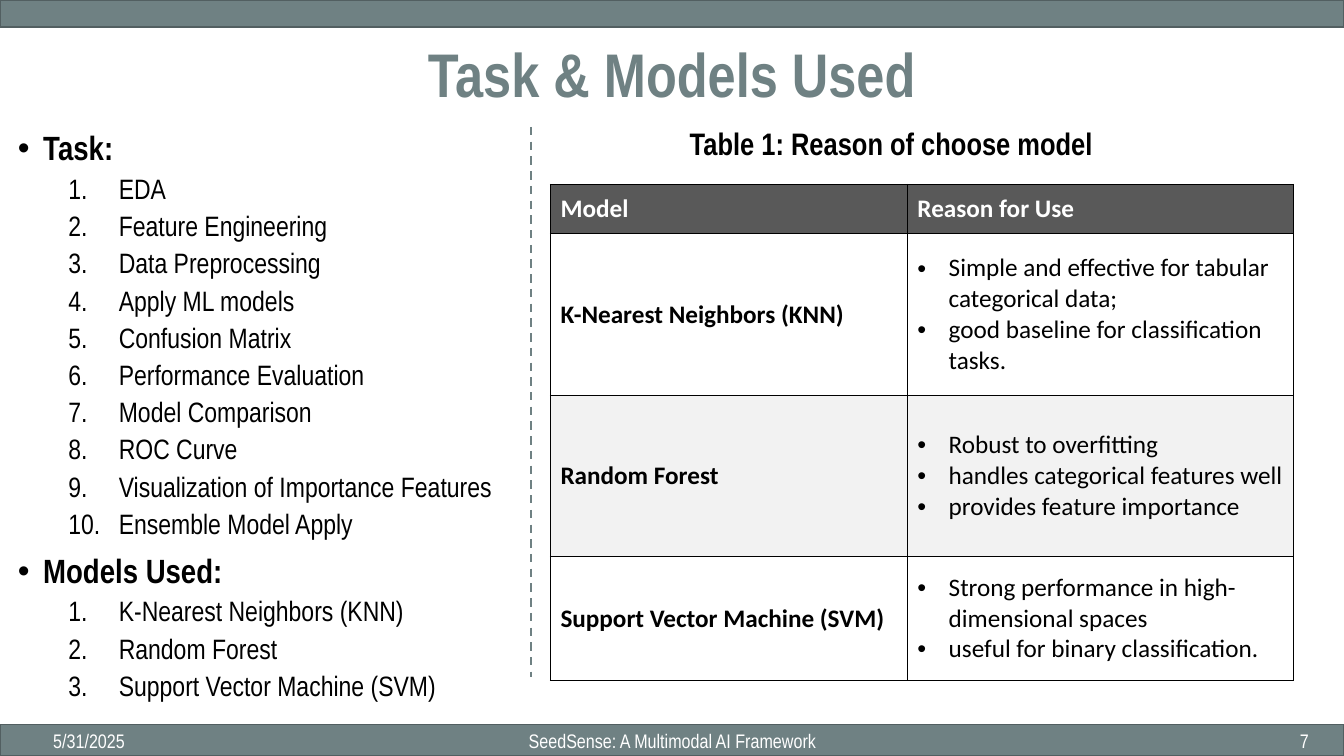
from dataclasses import dataclass
from typing import Optional

from lxml import etree
from pptx import Presentation
from pptx.dml.color import RGBColor
from pptx.enum.dml import MSO_LINE
from pptx.enum.shapes import MSO_CONNECTOR, MSO_SHAPE
from pptx.enum.text import MSO_ANCHOR, MSO_AUTO_SIZE, PP_ALIGN
from pptx.oxml.ns import qn
from pptx.util import Inches, Pt

LEFT, CENTER, RIGHT, JUSTIFY = PP_ALIGN.LEFT, PP_ALIGN.CENTER, PP_ALIGN.RIGHT, PP_ALIGN.JUSTIFY
TOP, MIDDLE = MSO_ANCHOR.TOP, MSO_ANCHOR.MIDDLE
NO_FIT = MSO_AUTO_SIZE.NONE
RECT, STRAIGHT, DASH = MSO_SHAPE.RECTANGLE, MSO_CONNECTOR.STRAIGHT, MSO_LINE.DASH


@dataclass(frozen=True)
class Theme:
    slate: str = "6F8183"
    slate_dark: str = "525F61"
    black: str = "000000"
    white: str = "FFFFFF"
    header: str = "595959"
    band: str = "F2F2F2"
    narrow: str = "Arial Narrow"
    cell_font: str = "Calibri"
    title: float = 44
    heading: float = 24
    caption: float = 22.2
    item: float = 20
    cell: float = 18
    footer: float = 14


@dataclass(frozen=True)
class Section:
    heading: str
    items: tuple[str, ...]


@dataclass(frozen=True)
class Label:
    text: str
    left: float
    width: float
    align: PP_ALIGN


@dataclass(frozen=True)
class ModelRow:
    model: str
    reasons: tuple[str, ...]
    height: float


T = Theme()
WIDTH, HEIGHT = 13.33, 7.5
BARS = ((0, 0.27), (7.19, 0.31))  # top, height
FOOTERS = (
    Label("5/31/2025", 0.43, 3, LEFT),
    Label("SeedSense: A Multimodal AI Framework", 4.42, 4.5, CENTER),
    Label("7", 10.08, 3, RIGHT),
)
SECTIONS = (
    Section("Task:", (
        "EDA", "Feature Engineering", "Data Preprocessing", "Apply ML models",
        "Confusion Matrix", "Performance Evaluation", "Model Comparison", "ROC Curve",
        "Visualization of Importance Features", "Ensemble Model Apply")),
    Section("Models Used:", (
        "K-Nearest Neighbors (KNN)", "Random Forest", "Support Vector Machine (SVM)")),
)
COLUMNS = (3.54, 3.83)
HEADER_HEIGHT = 0.49
MODELS = (
    ModelRow("K-Nearest Neighbors (KNN)", (
        "Simple and effective for tabular categorical data;",
        "good baseline for classification tasks."), 1.6),
    ModelRow("Random Forest", (
        "Robust to overfitting", "handles categorical features well",
        "provides feature importance"), 1.6),
    ModelRow("Support Vector Machine (SVM)", (
        "Strong performance in high-dimensional spaces",
        "useful for binary classification."), 1.23),
)


def format_runs(p, size: float, color: str = T.black, bold: bool = False,
                font: str = T.narrow) -> None:
    for r in p.runs:
        r.font.size, r.font.bold, r.font.name = Pt(size), bold, font
        r.font.color.rgb = RGBColor.from_string(color)


def set_bullet(p, left: float, hanging: float, numbered: bool = False) -> None:
    pPr = p._p.get_or_add_pPr()
    pPr.set("marL", str(Inches(left)))
    pPr.set("indent", str(-Inches(hanging)))
    etree.SubElement(pPr, qn("a:buFont"), typeface=T.narrow if numbered else "Arial")
    if numbered:
        etree.SubElement(pPr, qn("a:buAutoNum"), type="arabicPeriod")
    else:
        etree.SubElement(pPr, qn("a:buChar"), char="•")


def add_text_frame(slide, left: float, top: float, width: float, height: float,
                   anchor: MSO_ANCHOR = TOP):
    s = slide.shapes.add_textbox(Inches(left), Inches(top), Inches(width), Inches(height))
    tf = s.text_frame
    tf.word_wrap, tf.auto_size, tf.vertical_anchor = True, NO_FIT, anchor
    return tf


def add_title(slide, text: str) -> None:
    s = slide.shapes.title
    s.left, s.top, s.width, s.height = (Inches(v) for v in (0.08, 0.33, 13.17, 0.87))
    tf = s.text_frame
    tf.text = text
    tf.vertical_anchor, tf.auto_size = MIDDLE, NO_FIT
    p = tf.paragraphs[0]
    p.alignment, p.line_spacing = CENTER, 0.9
    format_runs(p, T.title, T.slate, True)


def add_bar(slide, top: float, height: float) -> None:
    s = slide.shapes.add_shape(RECT, 0, Inches(top), Inches(WIDTH), Inches(height))
    s.shadow.inherit = False
    s.fill.solid()
    s.fill.fore_color.rgb = RGBColor.from_string(T.slate)
    s.line.color.rgb = RGBColor.from_string(T.slate_dark)
    s.line.width = Pt(1)


def add_footer(slide, label: Label) -> None:
    p = add_text_frame(slide, label.left, 7.15, label.width, 0.4, MIDDLE).paragraphs[0]
    p.text, p.alignment = label.text, label.align
    format_runs(p, T.footer, T.white)


def add_divider(slide) -> None:
    x = Inches(5.27)
    line = slide.shapes.add_connector(STRAIGHT, x, Inches(1.26), x, Inches(6.72))
    line.line.color.rgb = RGBColor.from_string(T.slate)
    line.line.width, line.line.dash_style = Pt(1.5), DASH
    etree.SubElement(line._element.spPr, qn("a:effectLst"))


def add_sections(slide) -> None:
    tf = add_text_frame(slide, 0.08, 1.26, 4.99, 5.93)
    for i, section in enumerate(SECTIONS):
        for j, text in enumerate((section.heading, *section.items)):
            is_heading = j == 0
            is_first = i == 0 and is_heading
            p = tf.paragraphs[0] if is_first else tf.add_paragraph()
            p.text, p.alignment, p.line_spacing = text, JUSTIFY, 0.9
            if not is_first:
                p.space_before = Pt(10 if is_heading else 5)
            if is_heading:
                set_bullet(p, 0.25, 0.25)
                format_runs(p, T.heading, bold=True)
            else:
                p.level = 1
                set_bullet(p, 1, 0.5, numbered=True)
                format_runs(p, T.item)


def fill_cell(cell, lines: tuple[str, ...], fill: str, color: Optional[str] = None,
              bold: bool = False, bulleted: bool = False) -> None:
    cell.text = "\n".join(lines)
    cell.vertical_anchor = MIDDLE
    for p in cell.text_frame.paragraphs:
        if bulleted:
            set_bullet(p, 0.31, 0.31)
        format_runs(p, T.cell, color or T.black, bold, T.cell_font)
    tcPr = cell._tc.get_or_add_tcPr()
    for side in ("a:lnL", "a:lnR", "a:lnT", "a:lnB"):
        border = etree.SubElement(tcPr, qn(side), w=str(Pt(1)))
        solid = etree.SubElement(border, qn("a:solidFill"))
        etree.SubElement(solid, qn("a:srgbClr"), val=T.black)
    cell.fill.solid()
    cell.fill.fore_color.rgb = RGBColor.from_string(fill)


def add_model_table(slide) -> None:
    heights = (HEADER_HEIGHT, *(row.height for row in MODELS))
    table = slide.shapes.add_table(len(heights), len(COLUMNS), Inches(5.46), Inches(1.83),
                                   Inches(sum(COLUMNS)), Inches(sum(heights))).table
    for column, width in zip(table.columns, COLUMNS):
        column.width = Inches(width)
    for row, height in zip(table.rows, heights):
        row.height = Inches(height)
    for c, text in enumerate(("Model", "Reason for Use")):
        fill_cell(table.cell(0, c), (text,), T.header, T.white, bold=True)
    for r, row in enumerate(MODELS, 1):
        fill = T.white if r % 2 else T.band
        fill_cell(table.cell(r, 0), (row.model,), fill, bold=True)
        fill_cell(table.cell(r, 1), row.reasons, fill, bulleted=True)


def add_caption(slide, text: str) -> None:
    p = add_text_frame(slide, 4.85, 1.26, 7.98, 0.4).paragraphs[0]
    p.text, p.alignment, p.line_spacing = text, CENTER, 0.8
    format_runs(p, T.caption, bold=True)


def main() -> None:
    prs = Presentation()
    prs.slide_width, prs.slide_height = Inches(WIDTH), Inches(HEIGHT)
    slide = prs.slides.add_slide(prs.slide_layouts[5])
    # Title, bars and footer
    add_title(slide, "Task & Models Used")
    for top, height in BARS:
        add_bar(slide, top, height)
    for label in FOOTERS:
        add_footer(slide, label)
    # Lists on the left, table on the right
    add_divider(slide)
    add_sections(slide)
    add_model_table(slide)
    add_caption(slide, "Table 1: Reason of choose model")
    prs.save("out.pptx")


if __name__ == "__main__":
    main()
